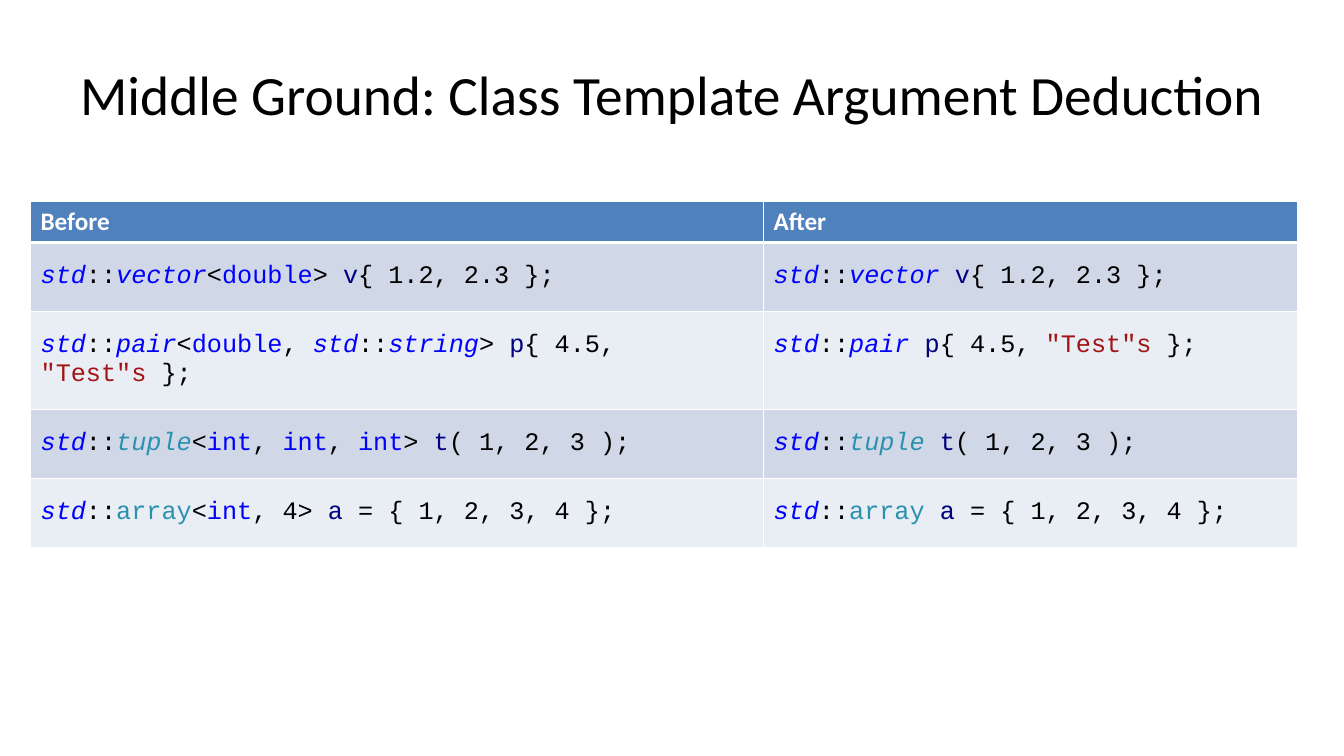
from dataclasses import dataclass

import pptx
import pptx.dml.color
import pptx.enum.text
import pptx.oxml
import pptx.oxml.ns
import pptx.slide
import pptx.table
import pptx.text.text
import pptx.util
from pptx.dml.color import RGBColor
from pptx.util import Cm, Pt

BLACK = RGBColor(0x00, 0x00, 0x00)
WHITE = RGBColor(0xFF, 0xFF, 0xFF)
BLUE = RGBColor(0x00, 0x00, 0xFF)
NAVY = RGBColor(0x00, 0x00, 0x80)
TEAL = RGBColor(0x2B, 0x91, 0xAF)
RED = RGBColor(0xA3, 0x15, 0x15)
HEADER_FILL = RGBColor(0x4F, 0x81, 0xBD)
BAND_FILLS = (RGBColor(0xD0, 0xD8, 0xE8), RGBColor(0xE9, 0xED, 0xF4))

HEADINGS = ("Before", "After")
COLUMN_WIDTHS = (Cm(18.47), Cm(13.46))
HEADER_HEIGHT = Cm(1.03)
LINE_HEIGHT = Cm(0.72)
CODE_MARGIN = Cm(0.51)


@dataclass(frozen=True)
class Token:
    text: str
    color: RGBColor = BLACK
    italic: bool = False


@dataclass(frozen=True)
class Declaration:
    """A variable declared with and without its template arguments."""
    template: Token
    arguments: tuple[Token, ...]
    variable: str
    initializer: tuple[Token, ...]
    lines: int = 1

    def before(self) -> list[Token]:
        return [*STD, self.template, Token("<"), *self.arguments, Token("> "),
                Token(self.variable, NAVY), *self.initializer]

    def after(self) -> list[Token]:
        return [*STD, self.template, Token(" "),
                Token(self.variable, NAVY), *self.initializer]


STD = (Token("std", BLUE, True), Token("::"))
COMMA = Token(", ")
INT = Token("int", BLUE)
DOUBLE = Token("double", BLUE)
STRING = Token("string", BLUE, True)

DECLARATIONS = (
    Declaration(Token("vector", BLUE, True), (DOUBLE,), "v",
                (Token("{ 1.2, 2.3 };"),)),
    Declaration(Token("pair", BLUE, True), (DOUBLE, COMMA, *STD, STRING), "p",
                (Token("{ 4.5, "), Token('"Test"s', RED), Token(" };")), lines=2),
    Declaration(Token("tuple", TEAL, True), (INT, COMMA, INT, COMMA, INT), "t",
                (Token("( 1, 2, 3 );"),)),
    Declaration(Token("array", TEAL), (INT, Token(", 4")), "a",
                (Token(" = { 1, 2, 3, 4 };"),)),
)


def format_paragraph(paragraph: pptx.text.text._Paragraph, size: float,
                     color: RGBColor, bold: bool = False) -> None:
    paragraph.font.name = "Calibri"
    paragraph.font.size = Pt(size)
    paragraph.font.bold = bold
    paragraph.font.color.rgb = color


def format_cell(cell: pptx.table._Cell, fill: RGBColor, bottom: float = 1) -> None:
    """Give the cell white borders and a solid fill."""
    properties = cell._tc.get_or_add_tcPr()
    for side, width in (("L", 1), ("R", 1), ("T", 1), ("B", bottom)):
        properties.append(pptx.oxml.parse_xml(
            f'<a:ln{side} {pptx.oxml.ns.nsdecls("a")} w="{Pt(width)}">'
            f'<a:solidFill><a:srgbClr val="{WHITE}"/></a:solidFill></a:ln{side}>'))
    cell.fill.solid()
    cell.fill.fore_color.rgb = fill


def write_code(cell: pptx.table._Cell, tokens: list[Token]) -> None:
    cell.margin_top = cell.margin_bottom = CODE_MARGIN
    paragraph = cell.text_frame.paragraphs[0]
    for token in tokens:
        run = paragraph.add_run()
        run.text = token.text
        run.font.name = "Courier New"
        run.font.size = Pt(18)
        run.font.italic = token.italic
        run.font.color.rgb = token.color


def add_title(slide: pptx.slide.Slide) -> None:
    title = slide.shapes.title
    title.left, title.top, title.width, title.height = Cm(1.69), Cm(0.76), Cm(30.48), Cm(3.18)
    frame = title.text_frame
    frame.text = "Middle Ground: Class Template Argument Deduction"
    frame.auto_size = pptx.enum.text.MSO_AUTO_SIZE.NONE
    frame.vertical_anchor = pptx.enum.text.MSO_ANCHOR.MIDDLE
    frame.paragraphs[0].alignment = pptx.enum.text.PP_ALIGN.CENTER
    format_paragraph(frame.paragraphs[0], 39.6, BLACK)


def add_comparison(slide: pptx.slide.Slide) -> None:
    heights = [HEADER_HEIGHT] + [
        2 * CODE_MARGIN + declaration.lines * LINE_HEIGHT for declaration in DECLARATIONS]
    table = slide.shapes.add_table(
        len(heights), len(HEADINGS), Cm(0.77), Cm(5.08),
        sum(COLUMN_WIDTHS), sum(heights)).table
    for column, width in zip(table.columns, COLUMN_WIDTHS):
        column.width = width
    for row, height in zip(table.rows, heights):
        row.height = height

    for index, heading in enumerate(HEADINGS):
        cell = table.cell(0, index)
        cell.text = heading
        format_paragraph(cell.text_frame.paragraphs[0], 18, WHITE, bold=True)
        format_cell(cell, HEADER_FILL, bottom=3)
    for number, declaration in enumerate(DECLARATIONS):
        for index, tokens in enumerate((declaration.before(), declaration.after())):
            cell = table.cell(number + 1, index)
            write_code(cell, tokens)
            format_cell(cell, BAND_FILLS[number % 2])


def main() -> None:
    presentation = pptx.Presentation()
    presentation.slide_width, presentation.slide_height = Cm(33.87), Cm(19.05)
    slide = presentation.slides.add_slide(presentation.slide_layouts.get_by_name("Title Only"))
    add_title(slide)
    add_comparison(slide)
    presentation.save("out.pptx")


if __name__ == "__main__":
    main()
